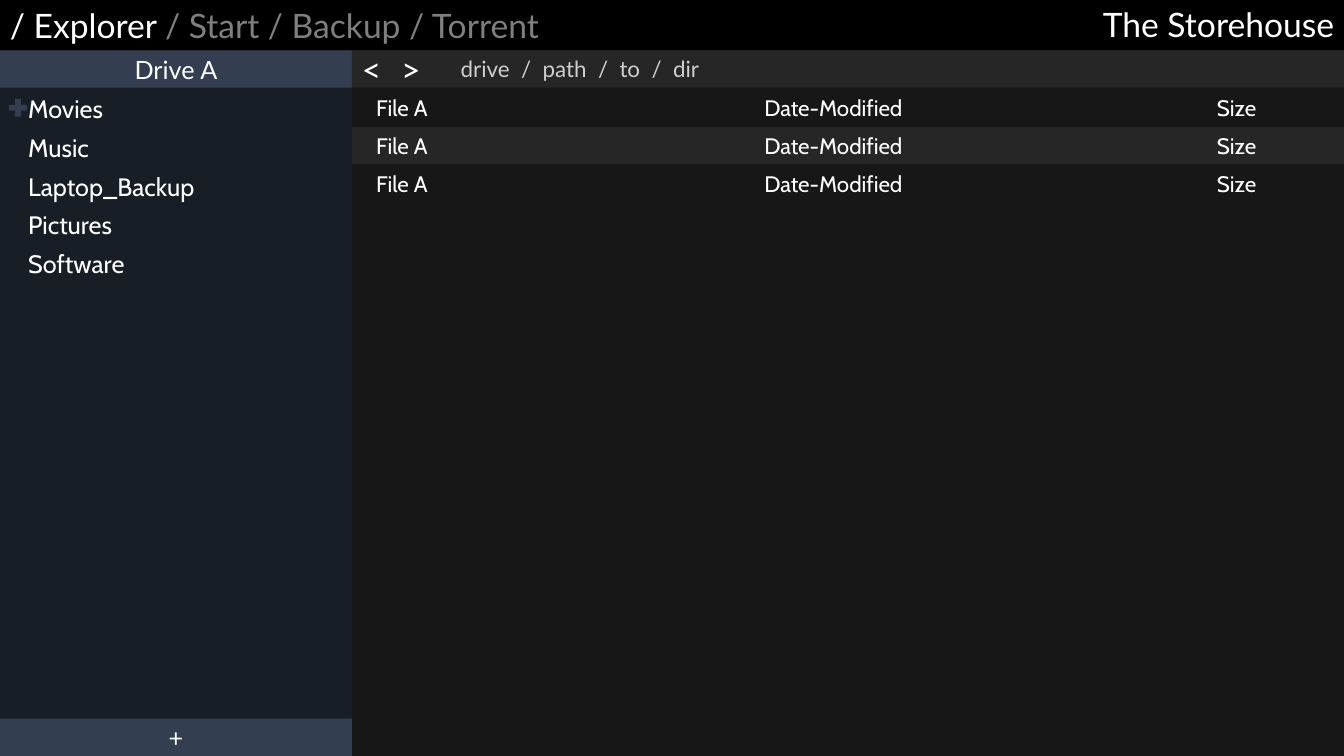
from dataclasses import dataclass

from lxml import etree
from pptx import Presentation
from pptx.dml.color import RGBColor
from pptx.enum import shapes, text
from pptx.oxml import ns
from pptx.util import Inches, Pt


@dataclass(frozen=True)
class Theme:
    black: str = "000000"
    white: str = "FFFFFF"
    muted: str = "7F7F7F"
    path_text: str = "D0CECE"
    sidebar: str = "181E26"
    accent: str = "333F50"
    pane: str = "181717"
    stripe: str = "262626"
    title: int = 24
    body: int = 18
    small: int = 16
    head_font: str = "Lato"
    list_font: str = "Cabin"


class Builder:
    def __init__(self, slide, theme):
        self.s, self.t = slide, theme

    def background(self, color):
        fill = self.s.background.fill
        fill.solid()
        fill.fore_color.rgb = RGBColor.from_string(color)

    def shape(self, x, y, w, h, color, kind=shapes.MSO_SHAPE.RECTANGLE):
        sp = self.s.shapes.add_shape(kind, *map(Inches, (x, y, w, h)))
        sp.shadow.inherit = False
        sp.fill.solid()
        sp.fill.fore_color.rgb = RGBColor.from_string(color)
        sp.line.fill.background()
        return sp

    def box(self, x, y, w, h):
        return self.s.shapes.add_textbox(*map(Inches, (x, y, w, h)))

    def label(self, sp, lines, size, font=None, color=None, align="LEFT",
              anchor="MIDDLE", inset=0.1, before=0, tabs=()):
        """Each line is a list of (text, color) runs, or a plain string."""
        tf = sp.text_frame
        tf.word_wrap = True
        tf.vertical_anchor = text.MSO_ANCHOR[anchor]
        tf.margin_left = Inches(inset)
        for i, line in enumerate(lines):
            p = tf.add_paragraph() if i else tf.paragraphs[0]
            p.alignment = text.PP_ALIGN[align]
            p.space_before = Pt(before)
            self.tab_stops(p, tabs)
            p.font.size = Pt(size)
            p.font.name = font or self.t.head_font
            p.font.color.rgb = RGBColor.from_string(color or self.t.white)
            for words, tint in [(line, None)] if isinstance(line, str) else line:
                r = p.add_run()
                r.text = words
                if tint:
                    r.font.color.rgb = RGBColor.from_string(tint)

    def tab_stops(self, p, tabs):
        if tabs:
            tab_list = etree.SubElement(p._p.get_or_add_pPr(), ns.qn("a:tabLst"))
            for pos in tabs:
                etree.SubElement(tab_list, ns.qn("a:tab"), pos=str(Inches(pos)), algn="l")


WIDTH, HEIGHT = 13.33, 7.5
SIDE_W, TOP_H, BAR_H, ROW_STEP = 3.49, 0.5, 0.37, 0.38
PANE_W = WIDTH - SIDE_W
LIST_TOP = TOP_H + ROW_STEP

prs = Presentation()
prs.slide_width, prs.slide_height = Inches(WIDTH), Inches(HEIGHT)
t = Theme()
b = Builder(prs.slides.add_slide(prs.slide_layouts[6]), t)

# Background and panes
b.background(t.black)
b.shape(0, TOP_H, SIDE_W, HEIGHT - TOP_H, t.sidebar)
b.shape(SIDE_W, TOP_H, PANE_W, HEIGHT - TOP_H, t.pane)

# Top navigation
b.label(b.box(0, 0, 9.96, TOP_H),
        [[("/ Explorer ", None), ("/ Start / Backup / Torrent", t.muted)]], t.title)
b.label(b.box(10.34, -0.01, 2.99, TOP_H), ["The Storehouse"], t.title, align="RIGHT")

# Sidebar: header, add button, folders
for caption, y in (("Drive A", TOP_H), ("+", HEIGHT - BAR_H)):
    b.label(b.shape(0, y, SIDE_W, BAR_H, t.accent), [caption], t.body, align="CENTER")
folders = ["Movies", "Music", "Laptop_Backup", "Pictures", "Software"]
b.label(b.shape(0, LIST_TOP, SIDE_W, 2.01, t.sidebar), folders, t.body,
        t.list_font, anchor="TOP", inset=0.28, before=6)
b.shape(0.06, 0.95, 0.24, 0.24, t.accent, shapes.MSO_SHAPE.MATH_PLUS)

# Path bar with back and forward
b.label(b.shape(SIDE_W, TOP_H, PANE_W, BAR_H, t.stripe),
        ["drive  /  path  /  to  /  dir"], t.small, color=t.path_text, inset=1.08)
for i, arrow in enumerate("<>"):
    b.label(b.box(SIDE_W + i * 0.39, TOP_H, 0.39, BAR_H), [arrow], t.title, align="CENTER")

# File rows, every second one striped
for i in range(3):
    place = (SIDE_W, LIST_TOP + i * ROW_STEP, PANE_W, BAR_H)
    row = b.shape(*place, t.stripe) if i % 2 else b.box(*place)
    b.label(row, ["File A\tDate-Modified\tSize"], t.small, t.list_font,
            inset=0.24, tabs=(3.85, 8.34))

prs.save("out.pptx")
